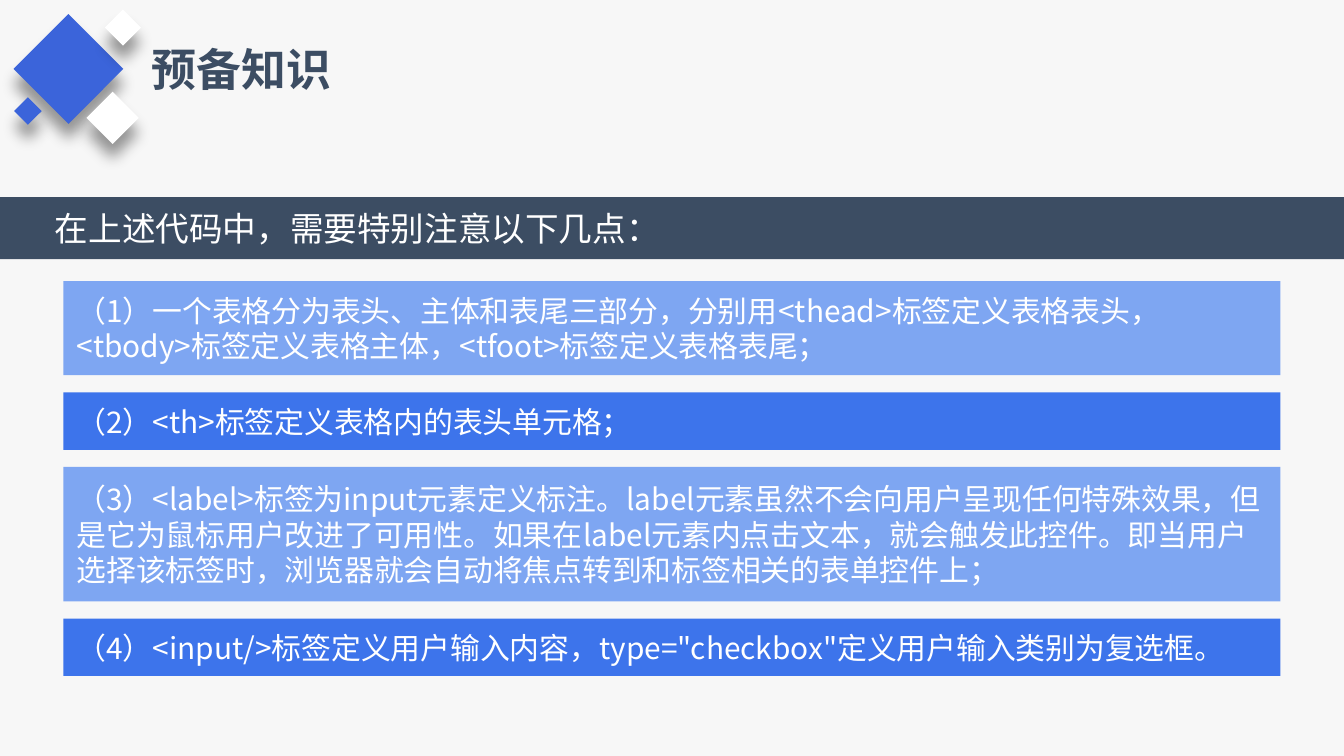
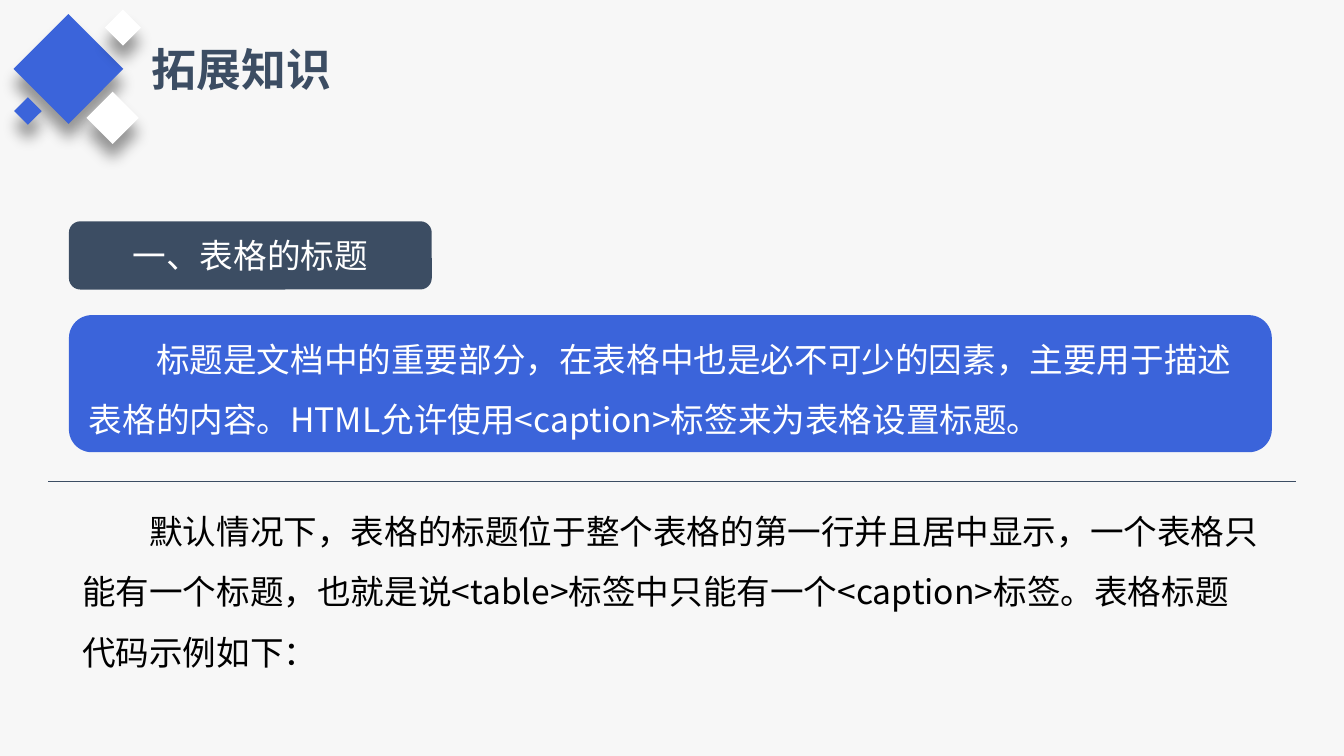
from lxml import etree
from pptx import Presentation
from pptx.dml.color import RGBColor
from pptx.enum.shapes import MSO_CONNECTOR as Connector, MSO_SHAPE as Shape
from pptx.enum.text import MSO_ANCHOR as Anchor, MSO_AUTO_SIZE as AutoSize, PP_ALIGN as Align
from pptx.oxml.ns import qn
from pptx.util import Inches, Pt

# Grid: square cells, 100 columns across a 16:9 slide
SLIDE_WIDTH = Inches(10)
SLIDE_HEIGHT = SLIDE_WIDTH * 9 // 16
CELL = SLIDE_WIDTH / 100

FONT = "Noto Sans CJK SC"
COLORS = {
    "paper": "F7F7F7",
    "slate": "3C4D63",
    "royal": "3B64DA",
    "bright": "3D74EB",
    "sky": "7EA6F2",
    "white": "FFFFFF",
    "black": "000000",
}

# Text formats
TITLE = {"size": Pt(24), "bold": True}
BODY = {"size": Pt(18)}
NOTE = {"size": Pt(16)}

# Title ornament: left, top, side, colour
DIAMONDS = [
    (2.2, 2.25, 5.78, "royal"),
    (7, 7.4, 2.75, "white"),
    (8.2, 1.1, 1.9, "white"),
    (1.35, 7.55, 1.45, "royal"),
]

# Note cards: height, colour, text
CARD_TOP, CARD_GAP = 20.92, 1.28
CARDS = [
    (7, "sky", "（1）一个表格分为表头、主体和表尾三部分，分别用<thead>标签定义表格表头，"
               "<tbody>标签定义表格主体，<tfoot>标签定义表格表尾；"),
    (4.27, "bright", "（2）<th>标签定义表格内的表头单元格；"),
    (10, "sky", "（3）<label>标签为input元素定义标注。label元素虽然不会向用户呈现任何特殊效果，"
                "但是它为鼠标用户改进了可用性。如果在label元素内点击文本，就会触发此控件。"
                "即当用户选择该标签时，浏览器就会自动将焦点转到和标签相关的表单控件上；"),
    (4.27, "bright", "（4）<input/>标签定义用户输入内容，type=\"checkbox\"定义用户输入类别为复选框。"),
]


def cells(*counts):
    """Turn grid counts into slide lengths."""
    return [round(count * CELL) for count in counts]


def rgb(name):
    return RGBColor.from_string(COLORS[name])


def write(shape, text, style, color, indent=0, **layout):
    """Put one formatted paragraph into a shape."""
    frame = shape.text_frame
    frame.word_wrap = True
    paragraph = frame.paragraphs[0]
    for key, value in ({"alignment": Align.LEFT} | layout).items():
        setattr(paragraph, key, value)
    if indent:
        properties = paragraph._p.get_or_add_pPr()
        properties.set("marL", "0")
        properties.set("indent", str(cells(indent)[0]))
    run = paragraph.add_run()
    run.text = text
    for key, value in ({"name": FONT} | style).items():
        setattr(run.font, key, value)
    run.font.color.rgb = rgb(color)
    east_asian = etree.SubElement(run._r.get_or_add_rPr(), qn("a:ea"))
    east_asian.set("typeface", FONT)
    return frame


def add_block(slide, kind, area, color):
    """Add a flat filled shape."""
    shape = slide.shapes.add_shape(kind, *cells(*area))
    shape.fill.solid()
    shape.fill.fore_color.rgb = rgb(color)
    shape.line.fill.background()
    shape.shadow.inherit = False
    shape.text_frame.vertical_anchor = Anchor.MIDDLE
    return shape


def add_text(slide, area, *content, **layout):
    """Add a text box that grows with its text."""
    box = slide.shapes.add_textbox(*cells(*area))
    frame = write(box, *content, **layout)
    frame.auto_size = AutoSize.SHAPE_TO_FIT_TEXT
    return frame


def add_diamond(slide, left, top, side, color):
    """Add a tilted square with a soft shadow below it."""
    diamond = add_block(slide, Shape.RECTANGLE, (left, top, side, side), color)
    diamond.rotation = 45
    effects = diamond._element.spPr.find(qn("a:effectLst"))
    shadow = etree.SubElement(effects, qn("a:outerShdw"), blurRad=str(Pt(8)),
                              dist=str(Pt(8)), dir="5400000", algn="ctr", rotWithShape="0")
    tint = etree.SubElement(shadow, qn("a:srgbClr"), val=COLORS["black"])
    etree.SubElement(tint, qn("a:alpha"), val="40000")


def add_rule(slide, left, right, top):
    """Add a thin horizontal line."""
    rule = slide.shapes.add_connector(Connector.STRAIGHT, *cells(left, top, right, top))
    rule.line.color.rgb = rgb("slate")
    rule.line.width = Pt(0.5)
    etree.SubElement(rule._element.spPr, qn("a:effectLst"))


def add_titled_slide(presentation, title):
    """Add a slide with the shared background, title and ornament."""
    slide = presentation.slides.add_slide(presentation.slide_layouts[6])
    slide.background.fill.solid()
    slide.background.fill.fore_color.rgb = rgb("paper")
    frame = add_text(slide, (10.3, 2.6, 15.4, 5), title, TITLE, "slate")
    frame.word_wrap = False
    for diamond in DIAMONDS:
        add_diamond(slide, *diamond)
    return slide


def build_preparation(presentation):
    slide = add_titled_slide(presentation, "预备知识")
    band = add_block(slide, Shape.RECTANGLE, (-0.1, 14.66, 100.3, 4.62), "slate")
    write(band, "在上述代码中，需要特别注意以下几点：", BODY, "white", indent=3.2)
    top = CARD_TOP
    for height, color, text in CARDS:
        card = add_block(slide, Shape.RECTANGLE, (4.72, top, 90.55, height), color)
        write(card, text, NOTE, "white", indent=-1.8)
        top += height + CARD_GAP


def build_extension(presentation):
    slide = add_titled_slide(presentation, "拓展知识")
    left, width = 5.13, 89.5

    # Section tag and definition
    tag = add_block(slide, Shape.ROUNDED_RECTANGLE, (left, 16.47, 27, 5.08), "slate")
    write(tag, "一、表格的标题", BODY, "white", alignment=Align.CENTER)
    panel = add_block(slide, Shape.ROUNDED_RECTANGLE, (left, 23.45, width, 10.2), "royal")
    frame = write(panel, "标题是文档中的重要部分，在表格中也是必不可少的因素，主要用于描述表格的内容。"
                  "HTML允许使用<caption>标签来为表格设置标题。",
                  BODY, "white", indent=5, line_spacing=1.5)
    frame.margin_bottom = cells(1.2)[0]

    # Explanation below the line
    add_rule(slide, 3.6, 96.4, 35.82)
    add_text(slide, (left, 36, width, 14.6),
             "默认情况下，表格的标题位于整个表格的第一行并且居中显示，一个表格只能有一个标题，"
             "也就是说<table>标签中只能有一个<caption>标签。表格标题代码示例如下：",
             BODY, "black", indent=5, line_spacing=1.5)


def main():
    presentation = Presentation()
    presentation.slide_width, presentation.slide_height = SLIDE_WIDTH, SLIDE_HEIGHT
    build_preparation(presentation)
    build_extension(presentation)
    presentation.save("out.pptx")


if __name__ == "__main__":
    main()
